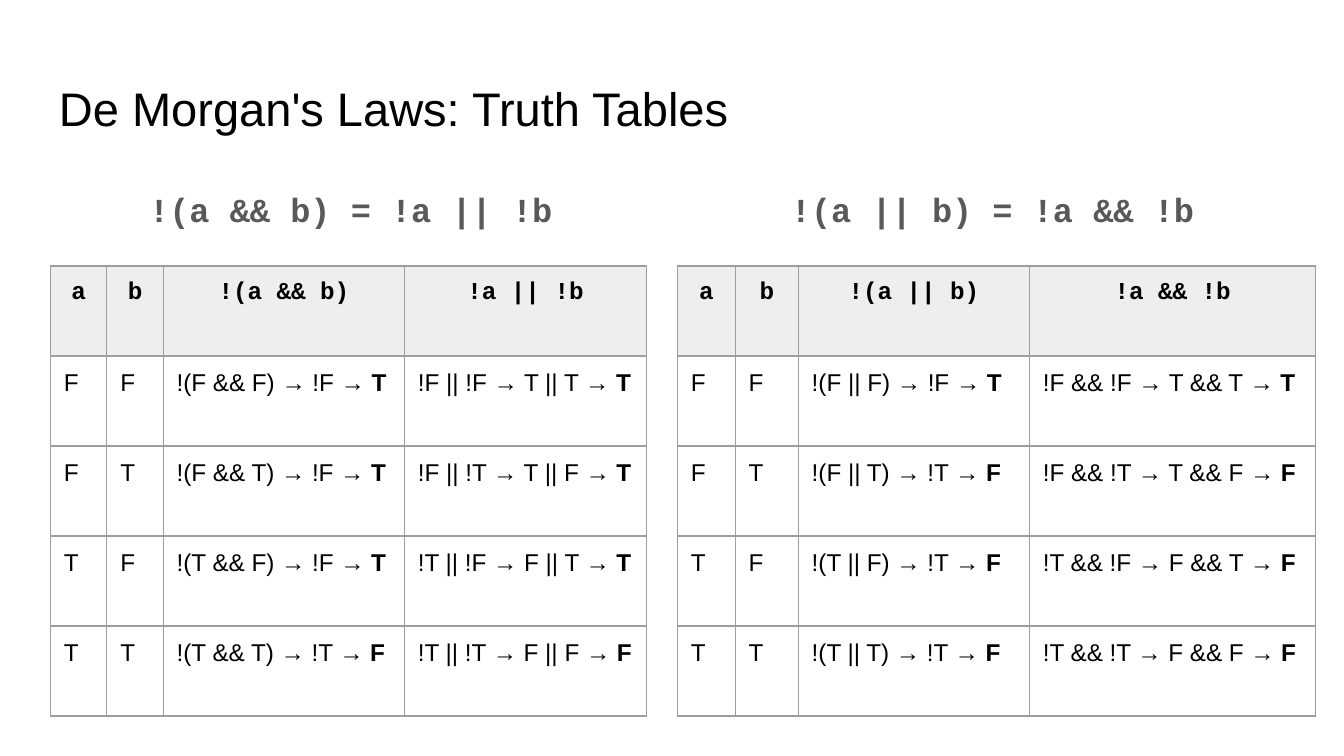
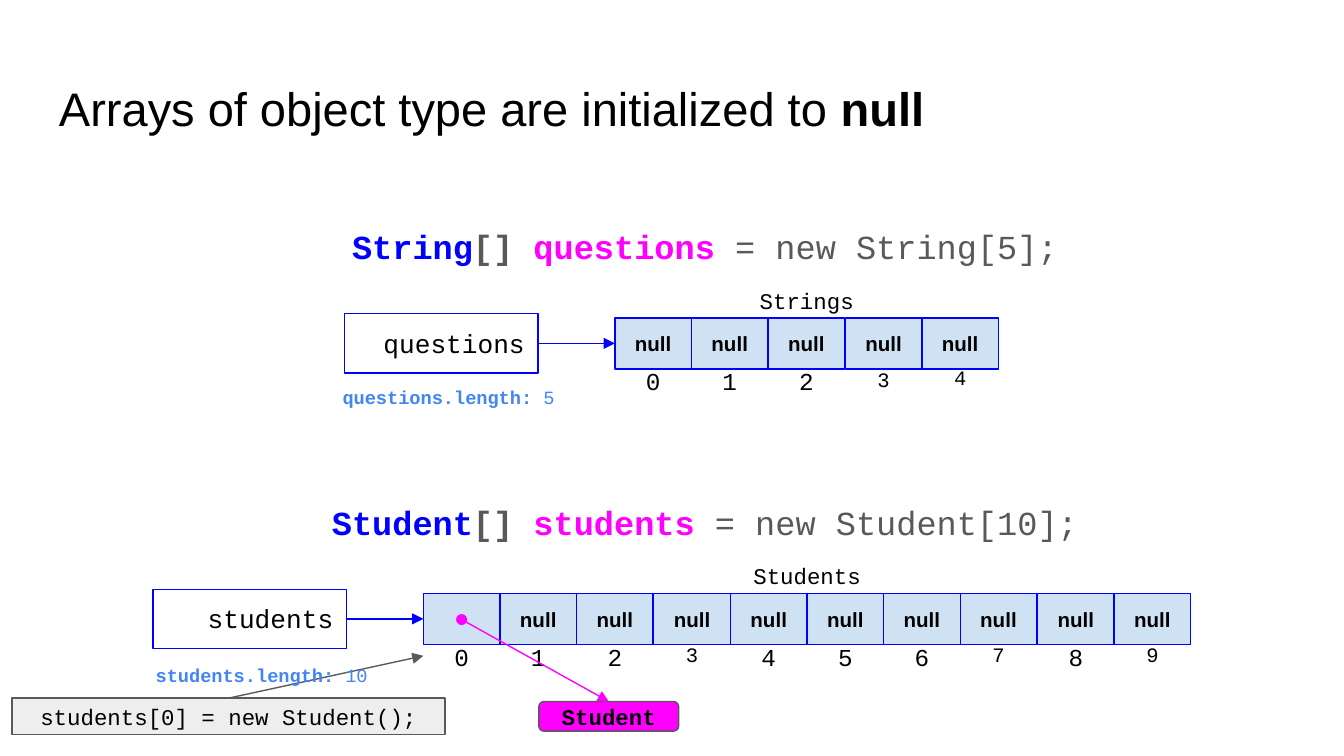
import itertools

import pptx
import pptx.dml.color
import pptx.enum.shapes
import pptx.enum.text
import pptx.oxml
import pptx.oxml.ns
import pptx.util

PX = 4572  # EMU per px, 200 px to the inch
SHAPE = pptx.enum.shapes.MSO_SHAPE
ALIGN = pptx.enum.text.PP_ALIGN
ANCHOR = pptx.enum.text.MSO_ANCHOR


def px(*values):
    return [pptx.util.Emu(v * PX) for v in values]


def rgb(value):
    return pptx.dml.color.RGBColor.from_string(value)


def add_xml(parent, tag, **attributes):
    child = parent.makeelement(pptx.oxml.ns.qn(tag), attributes)
    parent.append(child)
    return child


class Deck:
    SANS, MONO = "Arial", "Courier New"
    BLACK, GRAY, PALE, RULE = "000000", "595959", "EEEEEE", "9E9E9E"
    BLUE, PINK, SKY, LINK = "0000FF", "FF00FF", "CFE2F3", "4285F4"
    INSET = 20

    def __init__(self):
        self.prs = pptx.Presentation()
        self.prs.slide_width, self.prs.slide_height = px(2000, 1125)

    def slide(self, title):
        self.s = self.prs.slides.add_slide(self.prs.slide_layouts[6])
        self.shapes = self.s.shapes
        self.text((68, 97, 1864, 126), title, 25.2, self.SANS, align=ALIGN.LEFT,
                  anchor=ANCHOR.MIDDLE)

    def group(self):
        self.shapes = self.s.shapes.add_group_shape().shapes

    def ungroup(self):
        self.shapes = self.s.shapes

    def runs(self, p, runs, size, font, color=BLACK, bold=False, align=ALIGN.CENTER):
        """Runs are a string, or (text, bold, color) tuples."""
        p.alignment = align
        if isinstance(runs, str):
            runs = [(runs, bold, color)]
        for text, run_bold, run_color in runs:
            r = p.add_run()
            r.text = text
            r.font.size, r.font.name = pptx.util.Pt(size), font
            r.font.bold, r.font.color.rgb = run_bold, rgb(run_color)

    def inset(self, holder):
        (holder.margin_left, holder.margin_top,
         holder.margin_right, holder.margin_bottom) = px(*[self.INSET] * 4)

    def fill(self, holder, color):
        if color:
            holder.fill.solid()
            holder.fill.fore_color.rgb = rgb(color)
        else:
            holder.fill.background()

    def frame(self, sp, anchor):
        tf = sp.text_frame
        tf.word_wrap, tf.vertical_anchor = True, anchor
        self.inset(tf)
        return tf

    def text(self, box, runs, size, font=MONO, anchor=ANCHOR.TOP, **style):
        tf = self.frame(self.shapes.add_textbox(*px(*box)), anchor)
        self.runs(tf.paragraphs[0], runs, size, font, **style)
        return tf

    def box(self, box, text, size=12, font=MONO, fill=None, line=BLUE,
            kind=SHAPE.RECTANGLE, anchor=ANCHOR.MIDDLE, **style):
        sp = self.shapes.add_shape(kind, *px(*box))
        sp.shadow.inherit = False
        self.fill(sp, fill)
        sp.line.color.rgb, sp.line.width = rgb(line), pptx.util.Pt(0.75)
        tf = self.frame(sp, anchor)
        if text:
            self.runs(tf.paragraphs[0], text, size, font, **style)

    def arrow(self, start, end, color, head="none", tail="triangle"):
        c = self.shapes.add_connector(pptx.enum.shapes.MSO_CONNECTOR.STRAIGHT,
                                      *px(*start, *end))
        c.line.color.rgb, c.line.width = rgb(color), pptx.util.Pt(0.75)
        ln = c.line._get_or_add_ln()
        add_xml(ln, "a:headEnd", type=head)
        add_xml(ln, "a:tailEnd", type=tail)
        add_xml(ln.getparent(), "a:effectLst")

    def table(self, left, top, widths, row_height, rows):
        size = px(left, top, sum(widths), row_height * len(rows))
        t = self.shapes.add_table(len(rows), len(widths), *size).table
        t.horz_banding = False
        for col, width in zip(t.columns, px(*widths)):
            col.width = width
        for i, row in enumerate(rows):
            t.rows[i].height = px(row_height)[0]
            for j, runs in enumerate(row):
                self.cell(t.cell(i, j), runs, header=i == 0)

    def cell(self, cell, runs, header):
        self.inset(cell)
        self.runs(cell.text_frame.paragraphs[0], runs, 13,
                  self.MONO if header else self.SANS, bold=header,
                  align=ALIGN.CENTER if header else ALIGN.LEFT)
        for side in "LRTB":
            ln = add_xml(cell._tc.get_or_add_tcPr(), f"a:ln{side}", w="9525")
            add_xml(add_xml(ln, "a:solidFill"), "a:srgbClr", val=self.RULE)
        self.fill(cell, self.PALE if header else None)

    def law(self, heading, left, widths, op, dual, rule):
        """One of De Morgan's laws: its formula over its truth table."""
        tf = self.text(heading, f"!(a {op} b) = !a {dual} !b", 18, color=self.GRAY, bold=True)
        tf.paragraphs[0].line_spacing = 1.15
        tf.paragraphs[0].space_after = pptx.util.Pt(12)
        negated = {"F": "T", "T": "F"}
        rows = [["a", "b", f"!(a {op} b)", f"!a {dual} !b"]]
        for a, b in itertools.product("FT", repeat=2):
            inner = "T" if rule([a == "T", b == "T"]) else "F"
            result = (negated[inner], True, self.BLACK)
            steps = (f"!({a} {op} {b}) → !{inner} → ",
                     f"!{a} {dual} !{b} → {negated[a]} {dual} {negated[b]} → ")
            rows.append([a, b] + [[(step, False, self.BLACK), result] for step in steps])
        self.table(left, 396, widths, 134, rows)

    def declarations(self, box, lines, gap):
        tf = self.frame(self.shapes.add_textbox(*px(*box)), ANCHOR.TOP)
        for i, (kind, name, size) in enumerate(lines):
            p = tf.add_paragraph() if i else tf.paragraphs[0]
            p._p.get_or_add_pPr().set("marL", str(100 * PX))
            p.line_spacing = 1.15
            if i:
                p.space_before = pptx.util.Pt(gap)
            self.runs(p, [(kind, True, self.BLUE), ("[] ", True, self.GRAY),
                          (name, True, self.PINK),
                          (f" = new {kind}[{size}];", False, self.GRAY)], 18, self.MONO)

    def array(self, left, top, name, label, values, small):
        """A variable pointing to a row of cells; small maps an index to its drop."""
        pitch = 114.2
        self.group()
        self.box((left - 402, top - 6, 288, 88), name, 14, anchor=ANCHOR.TOP,
                 align=ALIGN.RIGHT)
        self.arrow((left - 114, top + 38), (left, top + 38), self.BLUE)
        self.text((left, top - 66, round(pitch * len(values)), 80), label, 12)
        for i, value in enumerate(values):
            x = left + round(pitch * i)
            self.box((x, top, 114, 76), value, 11, self.SANS, fill=self.SKY, bold=True)
            size, height = (11, 78) if i in small else (13, 84)
            self.text((x, top + 52 + small.get(i, 0), 114, height), str(i), size)
        self.ungroup()

    def length(self, left, top, name, count):
        self.text((left, top, 542, 74), [(f"{name}.length:", True, self.LINK),
                                         (f" {count}", False, self.LINK)],
                  10, anchor=ANCHOR.MIDDLE, align=ALIGN.LEFT)


def main():
    d = Deck()

    # Truth tables
    d.slide("De Morgan's Laws: Truth Tables")
    d.law((78, 252, 888, 126), 75, [84, 84, 359, 360], "&&", "||", all)
    d.law((1002, 252, 950, 126), 1008, [86, 94, 344, 426], "||", "&&", any)

    # Arrays of objects
    d.slide([("Arrays of object type are initialized to ", False, d.BLACK),
             ("null", True, d.BLACK)])
    d.declarations((76, 307, 1846, 746),
                   [("String", "questions", 5), ("Student", "students", 10)], gap=123)
    d.array(915, 473, "questions", "Strings", ["null"] * 5, small={3: 2, 4: 0})
    d.array(630, 883, "students", "Students", [""] + ["null"] * 9,
            small={3: 2, 7: 2, 9: 2})

    # Storing a new student in cell 0
    d.box((18, 1039, 644, 54), "students[0] = new Student();", fill=d.PALE, line=d.GRAY)
    d.arrow((340, 1039), (630, 976), d.GRAY)
    d.box((802, 1044, 208, 44), "Student", fill=d.PINK, line=d.GRAY,
          kind=SHAPE.ROUNDED_RECTANGLE, bold=True)
    d.arrow((906, 1044), (687, 922), d.PINK, head="triangle", tail="oval")

    # Array lengths
    d.length(490, 554, "questions", 5)
    d.length(212, 968, "students", 10)

    d.prs.save("out.pptx")


if __name__ == "__main__":
    main()
